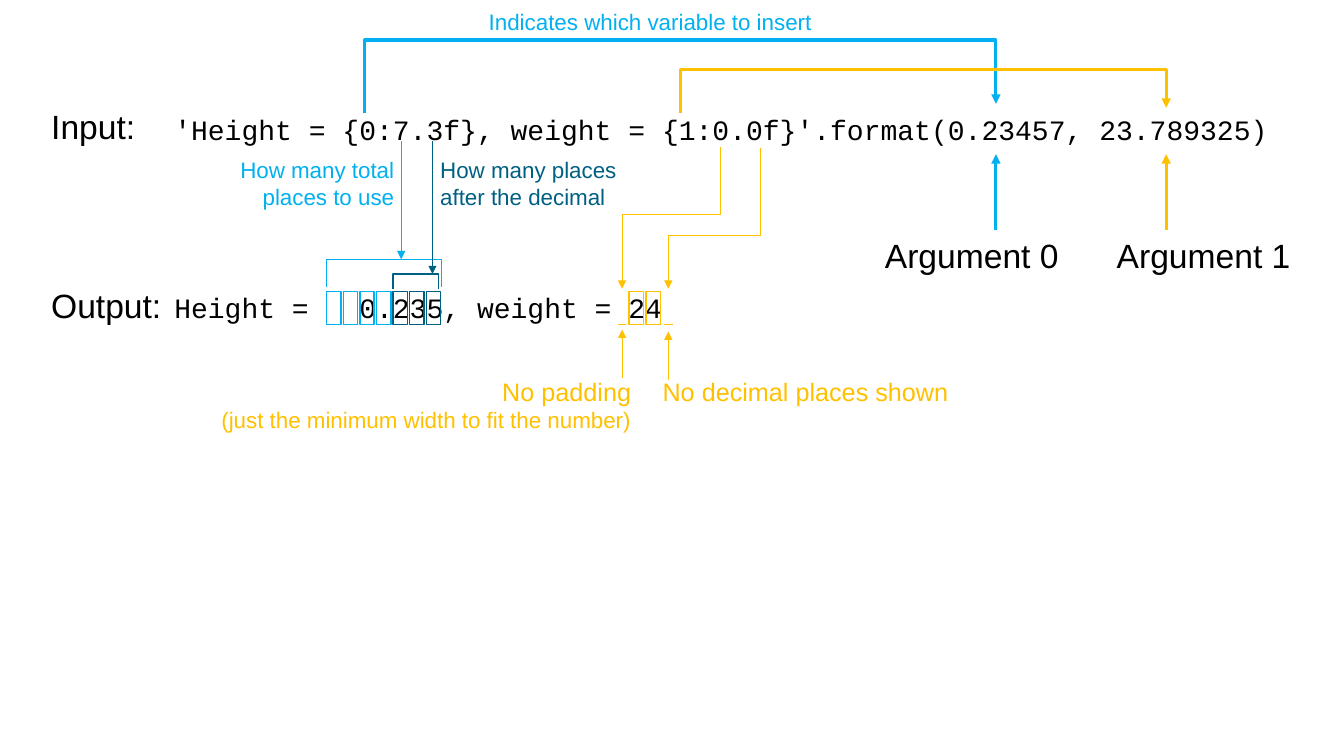
from lxml import etree
from pptx import Presentation
from pptx.dml.color import RGBColor
from pptx.enum.shapes import MSO_CONNECTOR, MSO_SHAPE
from pptx.enum.text import MSO_AUTO_SIZE, PP_ALIGN
from pptx.oxml.ns import qn
from pptx.util import Pt

LEFT, MID, RIGHT = PP_ALIGN.LEFT, PP_ALIGN.CENTER, PP_ALIGN.RIGHT
LINE, RECT = MSO_CONNECTOR.STRAIGHT, MSO_SHAPE.RECTANGLE
GROW = MSO_AUTO_SIZE.SHAPE_TO_FIT_TEXT
BLUE, TEAL, GOLD, BLACK = "00B0F0", "006082", "FFC000", "000000"
SANS, MONO = "Arial", "Courier New"


def rgb(code):
    return RGBColor.from_string(code)


class Board:
    def __init__(self, slide):
        self.shapes = slide.shapes

    def text(self, lines, left, top, width, height, color=BLACK,
             font=SANS, align=LEFT, wrap=True):
        """Add a text box; lines is a list of (words, size) pairs."""
        box = self.shapes.add_textbox(Pt(left), Pt(top), Pt(width), Pt(height))
        frame = box.text_frame
        frame.word_wrap = wrap
        frame.auto_size = GROW
        for i, (words, size) in enumerate(lines):
            para = frame.add_paragraph() if i else frame.paragraphs[0]
            para.text = words
            para.alignment = align
            para.font.name = font
            para.font.size = Pt(size)
            para.font.color.rgb = rgb(color)

    def stroke(self, shape, color, width, arrow=False):
        shape.line.color.rgb = rgb(color)
        shape.line.width = Pt(width)
        if arrow:
            line = shape.element.spPr.find(qn("a:ln"))
            etree.SubElement(line, qn("a:tailEnd"), type="triangle")

    def line(self, start, end, color, width, arrow=True):
        ends = [Pt(v) for v in (*start, *end)]
        link = self.shapes.add_connector(LINE, *ends)
        self.stroke(link, color, width, arrow)
        etree.SubElement(link.element.spPr, qn("a:effectLst"))

    def bend(self, points, color, width, arrow=True):
        """Add an open outline through the points."""
        first, *rest = [(Pt(x), Pt(y)) for x, y in points]
        pen = self.shapes.build_freeform(*first)
        pen.add_line_segments(rest, close=False)
        shape = pen.convert_to_shape()
        shape.shadow.inherit = False
        shape.fill.background()
        self.stroke(shape, color, width, arrow)

    def over(self, x1, y1, x2, y2, top, color, width, arrow=True):
        """Add a bracket that rises to top and comes down again."""
        self.bend([(x1, y1), (x1, top), (x2, top), (x2, y2)],
                  color, width, arrow)

    def cells(self, left, count, pitch, color):
        """Frame a row of output characters."""
        for i in range(count):
            cell = self.shapes.add_shape(RECT, Pt(left + i * pitch), Pt(208.1),
                                         Pt(10.2), Pt(23.8))
            cell.shadow.inherit = False
            cell.fill.background()
            self.stroke(cell, color, 1)


def main():
    deck = Presentation()
    deck.slide_width, deck.slide_height = Pt(960), Pt(540)
    board = Board(deck.slides.add_slide(deck.slide_layouts[6]))

    # Code and its labels
    for code, top, width in (
            ("'Height = {0:7.3f}, weight = {1:0.0f}'.format(0.23457, 23.789325)",
             77, 802),
            ("Height =   0.235, weight = 24", 203.8, 365.8)):
        board.text([(code, 20)], 117.4, top, width, 31.5, font=MONO, wrap=False)
    for label, left, top, width in (("Input:", 29.5, 72, 75),
                                    ("Output:", 29.5, 200.2, 93.6),
                                    ("Argument 0", 625, 164.2, 139.7),
                                    ("Argument 1", 790.6, 164.2, 139.7)):
        board.text([(label, 24)], left, top, width, 36.3, wrap=False)

    # Fields to arguments
    for field, arg, top, tip, color in ((260.6, 711.4, 28.6, 74.2, BLUE),
                                        (486, 833, 49.7, 77, GOLD)):
        board.over(field, 80.6, arg, tip, top, color, 2.25)
        board.line((arg, 164.2), (arg, 110.2), color, 2.25)

    # Output characters
    board.cells(280.8, 3, 11.9, TEAL)
    board.cells(233.3, 4, 11.9, BLUE)
    board.cells(449.4, 2, 12.1, GOLD)

    # Total width and decimals of the first number
    for left, right, foot, top, stem, color in (
            (233.3, 315.4, 205, 185.2, 286.6, BLUE),
            (280.8, 313.4, 206.3, 195.8, 308.9, TEAL)):
        board.over(left, foot, right, foot, top, color, 1, arrow=False)
        board.line((stem, 100.8), (stem, top), color, 0.75)

    # Width and decimals of the second number
    for digit, start, turn, mark, foot in ((514.8, 105.1, 153.4, 444.4, 270),
                                           (543, 106, 168, 477.4, 271.4)):
        board.line((mark - 3, 232), (mark + 3, 232), GOLD, 1, arrow=False)
        board.line((mark, foot), (mark, foot - 34.6), GOLD, 0.75)
        board.bend([(digit, start), (digit, turn), (mark, turn), (mark, 206.3)],
                   GOLD, 0.75)

    # Notes
    board.text([("No padding", 18),
                ("(just the minimum width to fit the number)", 16)],
               103.7, 265, 354.2, 48.2, GOLD, align=RIGHT)
    for note, size, left, top, width, height, color, align in (
            ("No decimal places shown", 18, 452.2, 265, 246.2, 29, GOLD, MID),
            ("Indicates which variable to insert", 16, 310.3, 2.2, 308.2, 26.6,
             BLUE, MID),
            ("How many total places to use", 16, 123.1, 108, 165.6, 46, BLUE,
             RIGHT),
            ("How many places after the decimal", 16, 307.4, 108, 165.6, 46,
             TEAL, LEFT)):
        board.text([(note, size)], left, top, width, height, color, align=align)

    deck.save("out.pptx")


if __name__ == "__main__":
    main()
